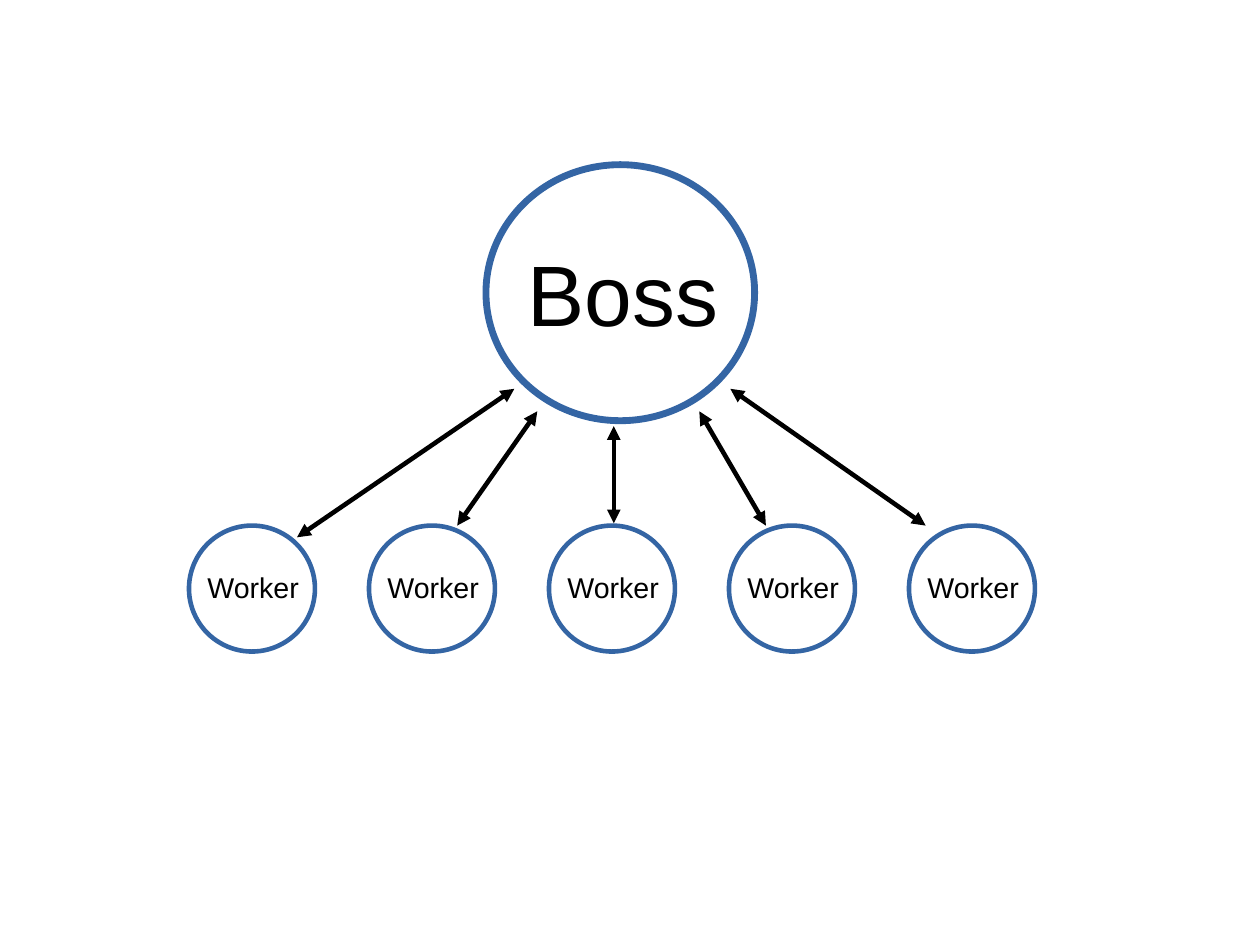
from collections import namedtuple
from dataclasses import dataclass

from lxml.etree import SubElement
from pptx import Presentation
from pptx.dml.color import RGBColor
from pptx.enum.shapes import MSO_CONNECTOR, MSO_SHAPE
from pptx.enum.text import MSO_ANCHOR, PP_ALIGN
from pptx.oxml.ns import qn
from pptx.util import Cm, Pt

Box = namedtuple("Box", "left top width height")
Link = namedtuple("Link", "worker_x worker_y boss_x boss_y")


@dataclass(frozen=True)
class Theme:
    outline: RGBColor = RGBColor(0x34, 0x65, 0xA4)
    ink: RGBColor = RGBColor(0, 0, 0)
    font: str = "Arial"
    boss_size: float = 54
    worker_size: float = 18
    boss_line: float = 4.31
    thin_line: float = 2.89


THEME = Theme()
BOSS = Box(10.8, 3.66, 5.97, 5.69)
WORKERS = Box(4.2, 11.68, 18.8, 2.8)
LINKS = [
    Link(2.4, 0.26, 0.63, 4.98),
    Link(1.96, 0, 1.14, 5.48),
    Link(1.44, -0.05, 2.84, 5.81),
    Link(0.82, 0, 4.74, 5.48),
    Link(0.37, 0, 5.43, 4.98),
]


def to_cm(box):
    return [Cm(length) for length in box]


def add_text(slide, box, text, *, size, color=THEME.ink, font=THEME.font):
    label = slide.shapes.add_textbox(*to_cm(box))
    frame = label.text_frame
    frame.word_wrap = False
    frame.vertical_anchor = MSO_ANCHOR.TOP
    paragraph = frame.paragraphs[0]
    paragraph.alignment = PP_ALIGN.LEFT
    run = paragraph.add_run()
    run.text = text
    run.font.size = Pt(size)
    run.font.name = font
    run.font.color.rgb = color


def add_circle(slide, box, line_width):
    circle = slide.shapes.add_shape(MSO_SHAPE.OVAL, *to_cm(box))
    circle.shadow.inherit = False
    circle.fill.background()
    circle.line.color.rgb = THEME.outline
    circle.line.width = Pt(line_width)


def add_double_arrow(slide, start, end):
    arrow = slide.shapes.add_connector(
        MSO_CONNECTOR.STRAIGHT, *to_cm(start), *to_cm(end)
    )
    arrow.line.color.rgb = THEME.ink
    arrow.line.width = Pt(THEME.thin_line)
    outline = arrow.line._get_or_add_ln()
    for tag in ("a:headEnd", "a:tailEnd"):
        SubElement(outline, qn(tag), type="triangle")
    SubElement(arrow._element.spPr, qn("a:effectLst"))


def add_boss(slide, box):
    add_circle(slide, box, THEME.boss_line)
    label_box = Box(box.left + 0.68, box.top + 1.57, 4.83, 2.54)
    add_text(slide, label_box, "Boss", size=THEME.boss_size)


def worker_boxes(row):
    diameter = row.height
    step = (row.width - diameter) / (len(LINKS) - 1)
    return [
        Box(row.left + index * step, row.top, diameter, diameter)
        for index in range(len(LINKS))
    ]


def add_workers(slide, row):
    for box in worker_boxes(row):
        add_circle(slide, box, THEME.thin_line)
        label_box = Box(box.left + 0.16, box.top + 0.86, 2.54, 1.65)
        add_text(slide, label_box, "Worker", size=THEME.worker_size)


def add_links(slide, boss, row):
    for worker, link in zip(worker_boxes(row), LINKS):
        start = (worker.left + link.worker_x, worker.top + link.worker_y)
        end = (boss.left + link.boss_x, boss.top + link.boss_y)
        add_double_arrow(slide, start, end)


def main():
    deck = Presentation()
    deck.slide_width = Cm(28)
    deck.slide_height = Cm(21)
    slide = deck.slides.add_slide(deck.slide_layouts[6])
    add_boss(slide, BOSS)
    add_workers(slide, WORKERS)
    add_links(slide, BOSS, WORKERS)
    deck.save("out.pptx")


if __name__ == "__main__":
    main()
